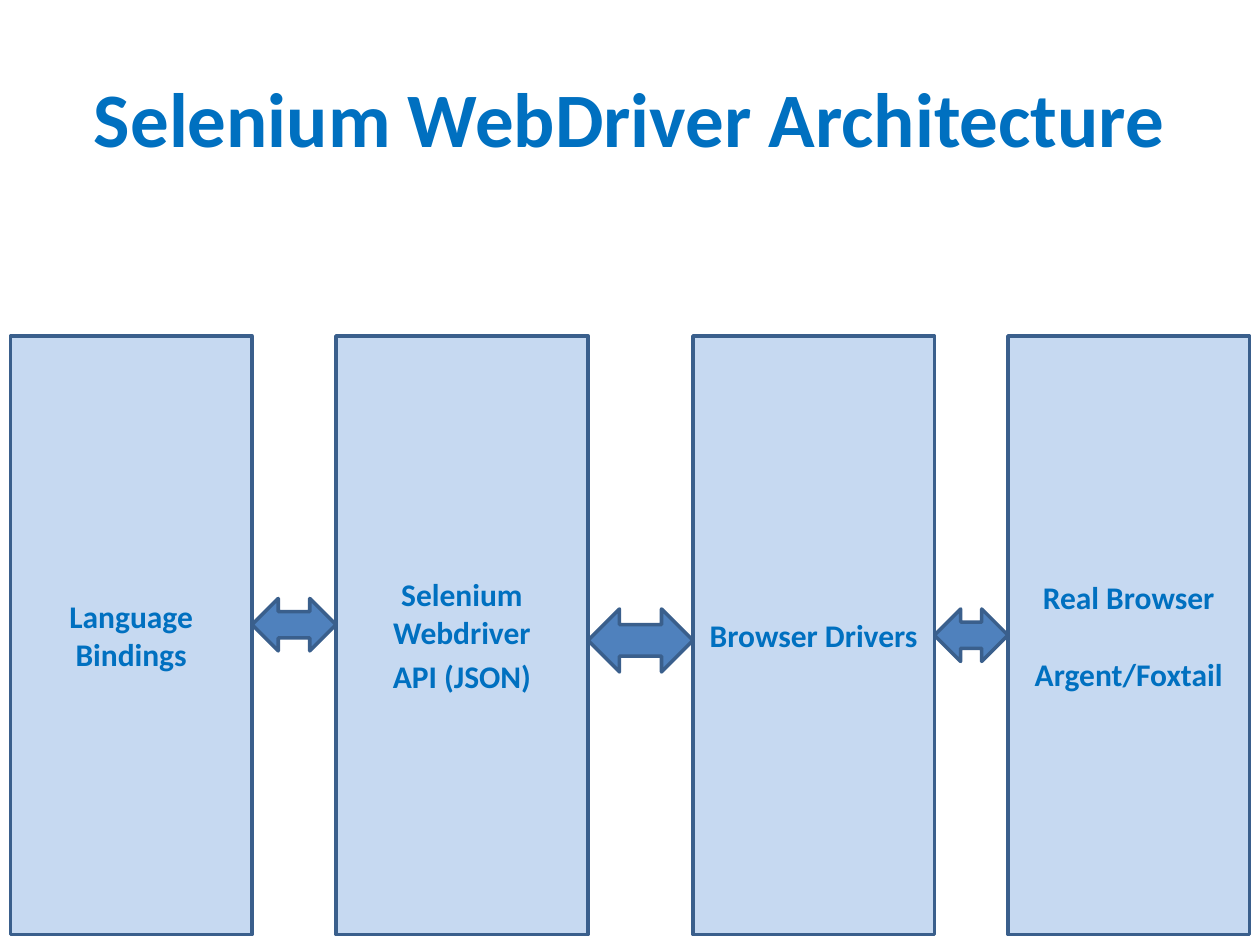
from dataclasses import dataclass
from itertools import pairwise

from pptx import Presentation
from pptx.dml.color import RGBColor
from pptx.enum import shapes, text
from pptx.oxml import ns
from pptx.util import Pt

TEXT_BLUE = RGBColor(0x00, 0x70, 0xC0)
BOX_FILL = RGBColor(0xC6, 0xD9, 0xF1)
ARROW_FILL = RGBColor(0x4F, 0x81, 0xBD)
OUTLINE = RGBColor(0x3A, 0x5F, 0x8C)

BOX_TOP, BOX_HEIGHT = 192, 342


@dataclass(frozen=True)
class Layer:
    """One box of the architecture; gap is the space between its paragraphs."""
    lines: tuple[str, ...]
    left: float
    width: float = 138
    gap: float = 0
    is_body: bool = False


@dataclass(frozen=True)
class Link:
    """Height and position of an arrow between two neighbouring boxes."""
    top: float
    height: float


LAYERS = (
    Layer(("Language", "Bindings"), 6),
    Layer(("Selenium Webdriver", "API (JSON)"), 192, width=144, gap=3.6, is_body=True),
    Layer(("Browser Drivers",), 396),
    Layer(("Real Browser", "Argent/Foxtail"), 576, gap=22),
)
LINKS = (Link(342, 30), Link(348, 36), Link(348, 30))


def write_text(shape, lines, *, size: float = 18, gap: float = 0) -> None:
    """Write bold, centred paragraphs in the middle of a shape."""
    frame = shape.text_frame
    frame.text = "\n".join(lines)
    frame.word_wrap = True
    frame.auto_size = text.MSO_AUTO_SIZE.NONE
    frame.vertical_anchor = text.MSO_ANCHOR.MIDDLE
    for index, paragraph in enumerate(frame.paragraphs):
        paragraph.alignment = text.PP_ALIGN.CENTER
        paragraph.space_before = Pt(gap if index else 0)
        font = paragraph.runs[0].font
        font.name, font.size, font.bold = "Calibri", Pt(size), True
        font.color.rgb = TEXT_BLUE


def place(shape, left: float, top: float, width: float, height: float) -> None:
    """Move and size a shape, in points."""
    shape.left, shape.top = Pt(left), Pt(top)
    shape.width, shape.height = Pt(width), Pt(height)


def paint(shape, fill: RGBColor) -> None:
    """Give a shape its fill and the common outline, without shadow."""
    shape.shadow.inherit = False
    shape.fill.solid()
    shape.fill.fore_color.rgb = fill
    shape.line.color.rgb = OUTLINE
    shape.line.width = Pt(2)


def remove_bullets(shape) -> None:
    """Clear the bullets and hanging indents of a body placeholder."""
    for paragraph in shape.text_frame.paragraphs:
        properties = paragraph._p.get_or_add_pPr()
        properties.set("marL", "0")
        properties.set("indent", "0")
        properties.append(properties.makeelement(ns.qn("a:buNone"), {}))


def add_layer(slide, layer: Layer) -> None:
    """Draw one box with its label."""
    if layer.is_body:
        box = slide.placeholders[1]
    else:
        box = slide.shapes.add_shape(shapes.MSO_SHAPE.RECTANGLE, 0, 0, 0, 0)
    place(box, layer.left, BOX_TOP, layer.width, BOX_HEIGHT)
    paint(box, BOX_FILL)
    write_text(box, layer.lines, gap=layer.gap)
    if layer.is_body:
        remove_bullets(box)


def add_link(slide, link: Link, before: Layer, after: Layer) -> None:
    """Fill the space between two boxes with a double arrow."""
    left = before.left + before.width
    arrow = slide.shapes.add_shape(shapes.MSO_SHAPE.LEFT_RIGHT_ARROW, 0, 0, 0, 0)
    place(arrow, left, link.top, after.left - left, link.height)
    paint(arrow, ARROW_FILL)


def main() -> None:
    """Build the slide and save it."""
    presentation = Presentation()
    presentation.slide_width, presentation.slide_height = Pt(720), Pt(540)
    slide = presentation.slides.add_slide(presentation.slide_layouts[1])
    title = slide.shapes.title
    place(title, 36, 21.6, 648, 90)
    write_text(title, ("Selenium WebDriver Architecture",), size=44)
    for layer in LAYERS:
        add_layer(slide, layer)
    for link, (before, after) in zip(LINKS, pairwise(LAYERS)):
        add_link(slide, link, before, after)
    presentation.save("out.pptx")


main()
